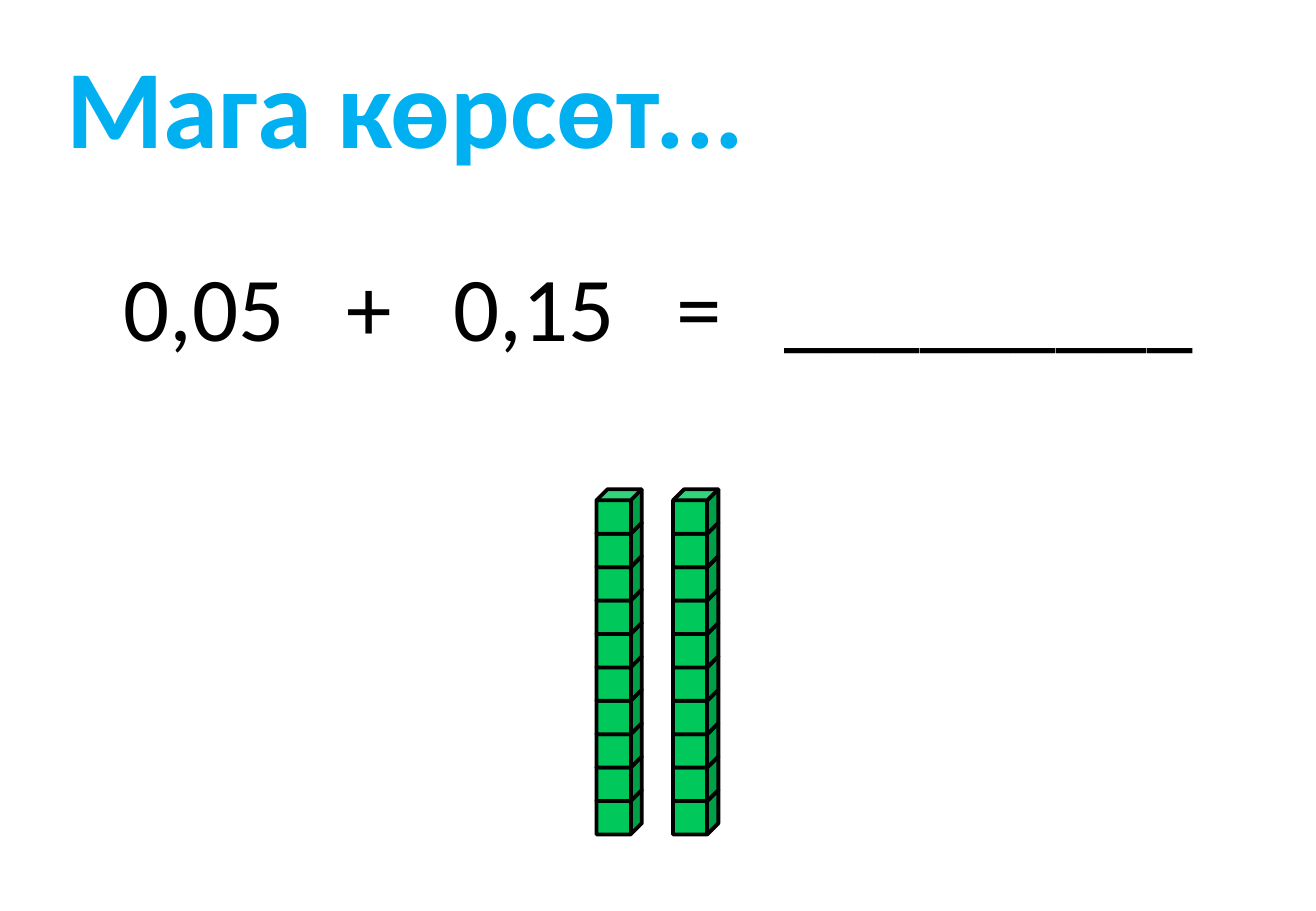
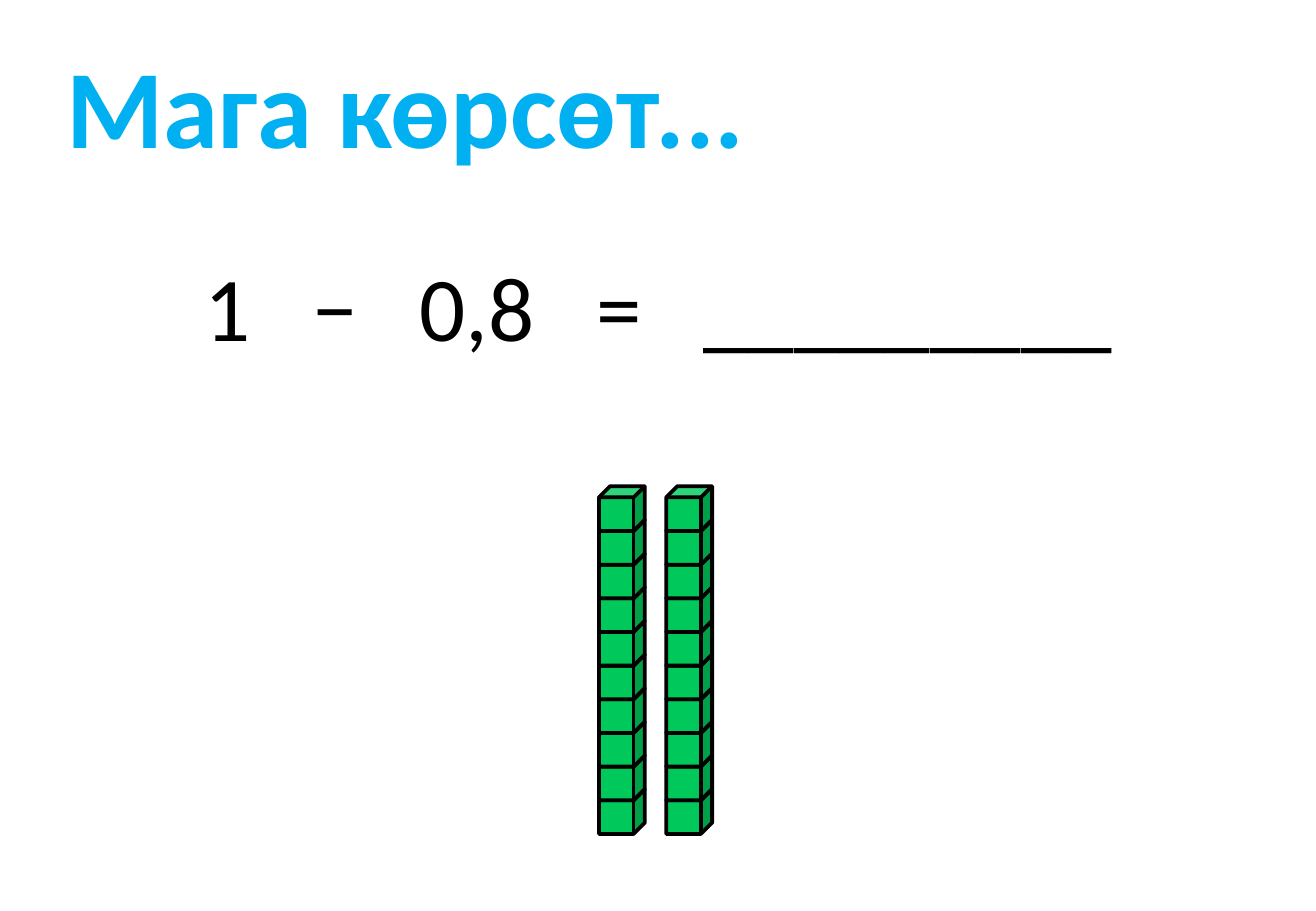
import pptx
import pptx.dml.color
import pptx.enum.shapes
import pptx.enum.text
import pptx.util

Pt = pptx.util.Pt
RGBColor = pptx.dml.color.RGBColor
Align = pptx.enum.text.PP_ALIGN
Anchor = pptx.enum.text.MSO_ANCHOR
AutoSize = pptx.enum.text.MSO_AUTO_SIZE

SKY = RGBColor(0x00, 0xB0, 0xF0)
BLACK = RGBColor(0x00, 0x00, 0x00)
GREEN = RGBColor(0x00, 0xC8, 0x5A)

SLIDE_WIDTH, SLIDE_HEIGHT = 780, 540
TITLE_ONLY = 5
CUBES_PER_ROD = 10
CUBE_FACE = 0.75  # share of a cube's height taken by its front face


class Lesson:
    title_font = {"name": "Calibri", "size": Pt(66), "bold": True}
    equation_font = {"name": "Calibri", "size": Pt(54), "bold": False}
    title_frame = {"word_wrap": True, "vertical_anchor": Anchor.TOP,
                   "margin_left": Pt(22), "auto_size": AutoSize.NONE}
    equation_frame = {"word_wrap": False, "vertical_anchor": Anchor.TOP,
                      "auto_size": AutoSize.SHAPE_TO_FIT_TEXT}
    operator_gap = "2440"

    def __init__(self):
        self.presentation = pptx.Presentation()
        self.presentation.slide_width = Pt(SLIDE_WIDTH)
        self.presentation.slide_height = Pt(SLIDE_HEIGHT)
        self.slide = None

    @staticmethod
    def apply(target, values):
        for name, value in values.items():
            setattr(target, name, value)

    def add_slide(self, title):
        layout = self.presentation.slide_layouts[TITLE_ONLY]
        self.slide = self.presentation.slides.add_slide(layout)
        shape = self.slide.shapes.title
        self.apply(shape, {"left": Pt(17.3), "top": Pt(18.7),
                           "width": Pt(543), "height": Pt(87)})
        self.apply(shape.text_frame, self.title_frame)
        paragraph = shape.text_frame.paragraphs[0]
        paragraph.text = title
        paragraph.alignment = Align.LEFT
        self.apply(paragraph.font, self.title_font)
        paragraph.font.color.rgb = SKY

    def add_equation(self, text, width):
        """Centre the equation, widening each space by character spacing."""
        shape = self.slide.shapes.add_textbox(
            Pt((SLIDE_WIDTH - width) / 2), Pt(144.7), Pt(width), Pt(72.7))
        self.apply(shape.text_frame, self.equation_frame)
        paragraph = shape.text_frame.paragraphs[0]
        paragraph.alignment = Align.CENTER
        for index, term in enumerate(text.split(" ")):
            if index:
                self.add_run(paragraph, " ").font._element.set("spc", self.operator_gap)
            self.add_run(paragraph, term)

    def add_run(self, paragraph, text):
        run = paragraph.add_run()
        run.text = text
        self.apply(run.font, self.equation_font)
        run.font.color.rgb = BLACK
        return run

    def add_rod(self, left, top, width, height):
        """Stack cubes from the bottom up; width and height are of one cube."""
        group = self.slide.shapes.add_group_shape()
        for level in reversed(range(CUBES_PER_ROD)):
            cube = group.shapes.add_shape(
                pptx.enum.shapes.MSO_SHAPE.CUBE, Pt(left),
                Pt(top + level * CUBE_FACE * height), Pt(width), Pt(height))
            cube.shadow.inherit = False
            cube.fill.solid()
            cube.fill.fore_color.rgb = GREEN
            cube.line.color.rgb = BLACK
            cube.line.width = Pt(2.25)


def main():
    lesson = Lesson()
    tasks = [
        ("0,05 + 0,15 = _________", 655, (353.5, 398.9), 290, (26.9, 26.4)),
        ("1 − 0,8 = _________", 558, (355, 394.9), 288.2, (27.2, 26.6)),
    ]
    for equation, width, rod_lefts, rod_top, cube_size in tasks:
        lesson.add_slide("Мага көрсөт...")
        lesson.add_equation(equation, width)
        for left in rod_lefts:
            lesson.add_rod(left, rod_top, *cube_size)
    lesson.presentation.save("out.pptx")


if __name__ == "__main__":
    main()
